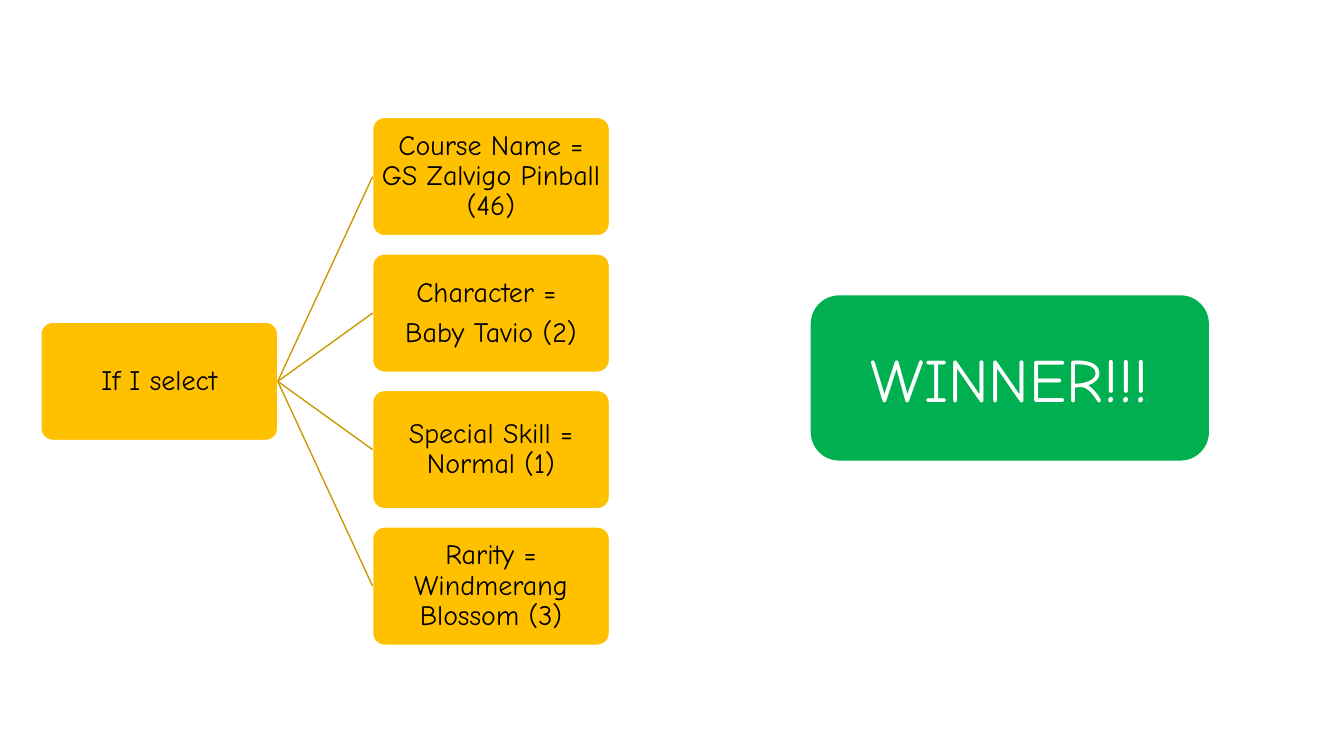
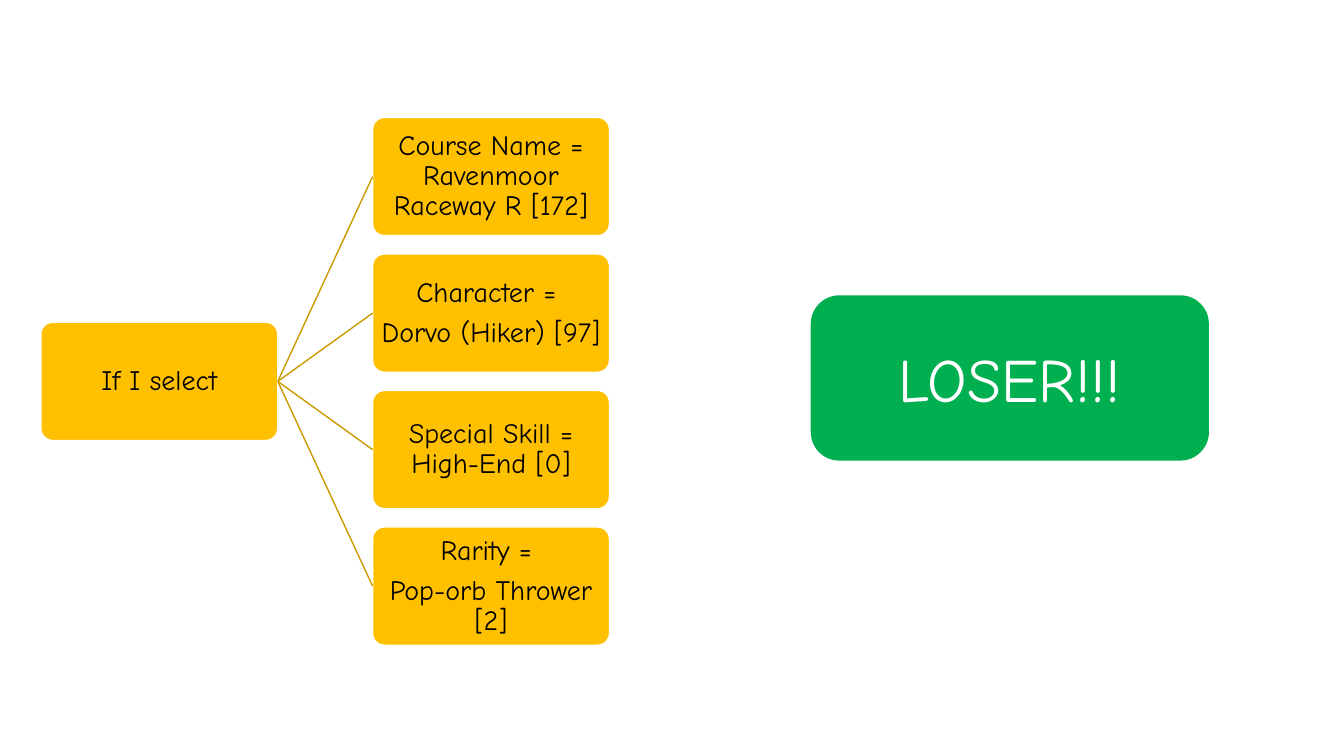
from dataclasses import dataclass

from lxml.etree import SubElement
from pptx import Presentation
from pptx.dml.color import RGBColor
from pptx.enum.shapes import MSO_CONNECTOR, MSO_SHAPE
from pptx.enum.text import MSO_ANCHOR, PP_ALIGN
from pptx.oxml.ns import qn
from pptx.shapes.autoshape import Shape
from pptx.slide import Slide
from pptx.util import Cm, Pt

AMBER = RGBColor(0xFF, 0xC0, 0x00)
DARK_AMBER = RGBColor(0xCC, 0x9A, 0x00)
GREEN = RGBColor(0x00, 0xB0, 0x50)
WHITE = RGBColor(0xFF, 0xFF, 0xFF)
BLACK = RGBColor(0x00, 0x00, 0x00)
FONT = "Comic Neue"

NODE_W, NODE_H = 5.97, 2.98
ROOT_X, OPTION_X = 1.03, 9.39
OPTION_TOP, OPTION_PITCH = 2.96, 3.44
RIGHT, LEFT = 3, 1


@dataclass(frozen=True)
class BoxStyle:
    fill: RGBColor
    line: RGBColor
    color: RGBColor
    size: float
    corner: float
    paragraph: dict
    frame: dict


@dataclass(frozen=True)
class Choice:
    options: list[str]
    result: str


NODE = BoxStyle(
    AMBER, WHITE, BLACK, 20, 0.1,
    paragraph={"alignment": PP_ALIGN.CENTER, "line_spacing": 0.9, "space_after": Pt(7)},
    frame={
        "word_wrap": True,
        "vertical_anchor": MSO_ANCHOR.MIDDLE,
        "margin_left": Cm(0.08),
        "margin_right": Cm(0.08),
        "margin_top": Cm(0.03),
        "margin_bottom": Cm(0.03),
    },
)
RESULT = BoxStyle(
    GREEN, GREEN, WHITE, 44, 0.17,
    paragraph={"alignment": PP_ALIGN.CENTER},
    frame={"word_wrap": True, "vertical_anchor": MSO_ANCHOR.MIDDLE},
)

CHOICES = [
    Choice(
        [
            "Course Name = GS Zalvigo Pinball (46)",
            "Character = \nBaby Tavio (2)",
            "Special Skill = Normal (1)",
            "Rarity = Windmerang Blossom (3)",
        ],
        "WINNER!!!",
    ),
    Choice(
        [
            "Course Name = Ravenmoor Raceway R [172]",
            "Character = \nDorvo (Hiker) [97]",
            "Special Skill = High-End [0]",
            "Rarity = \nPop-orb Thrower [2]",
        ],
        "LOSER!!!",
    ),
]


def set_attributes(target: object, values: dict) -> None:
    for name, value in values.items():
        setattr(target, name, value)


def add_box(slide: Slide, text: str, x: float, y: float, w: float, h: float,
            style: BoxStyle) -> Shape:
    """Draw a rounded box, in centimetres, with one paragraph per text line."""
    sp = slide.shapes.add_shape(
        MSO_SHAPE.ROUNDED_RECTANGLE, Cm(x), Cm(y), Cm(w), Cm(h))
    sp.adjustments[0] = style.corner
    sp.shadow.inherit = False
    sp.fill.solid()
    sp.fill.fore_color.rgb = style.fill
    sp.line.color.rgb = style.line
    sp.line.width = Pt(1)
    tf = sp.text_frame
    set_attributes(tf, style.frame)
    tf.text = text
    for p in tf.paragraphs:
        set_attributes(p, style.paragraph)
        for r in p.runs:
            set_attributes(r.font, {"name": FONT, "size": Pt(style.size)})
            r.font.color.rgb = style.color
    return sp


def add_branch(slide: Slide, root: Shape, option: Shape) -> None:
    line = slide.shapes.add_connector(MSO_CONNECTOR.STRAIGHT, 0, 0, 0, 0)
    line.begin_connect(root, RIGHT)
    line.end_connect(option, LEFT)
    line.line.color.rgb = DARK_AMBER
    line.line.width = Pt(1)
    SubElement(line._element.spPr, qn("a:effectLst"))


def add_choice_slide(prs: Presentation, choice: Choice) -> None:
    slide = prs.slides.add_slide(prs.slide_layouts[6])
    root_y = OPTION_TOP + OPTION_PITCH * (len(choice.options) - 1) / 2
    root = add_box(slide, "If I select", ROOT_X, root_y, NODE_W, NODE_H, NODE)
    for i, text in enumerate(choice.options):
        y = OPTION_TOP + i * OPTION_PITCH
        option = add_box(slide, text, OPTION_X, y, NODE_W, NODE_H, NODE)
        add_branch(slide, root, option)
    add_box(slide, choice.result, 20.45, 7.46, 10, 4.13, RESULT)


def main() -> None:
    prs = Presentation()
    prs.slide_width, prs.slide_height = Cm(33.87), Cm(19.05)
    for choice in CHOICES:
        add_choice_slide(prs, choice)
    prs.save("out.pptx")


if __name__ == "__main__":
    main()
